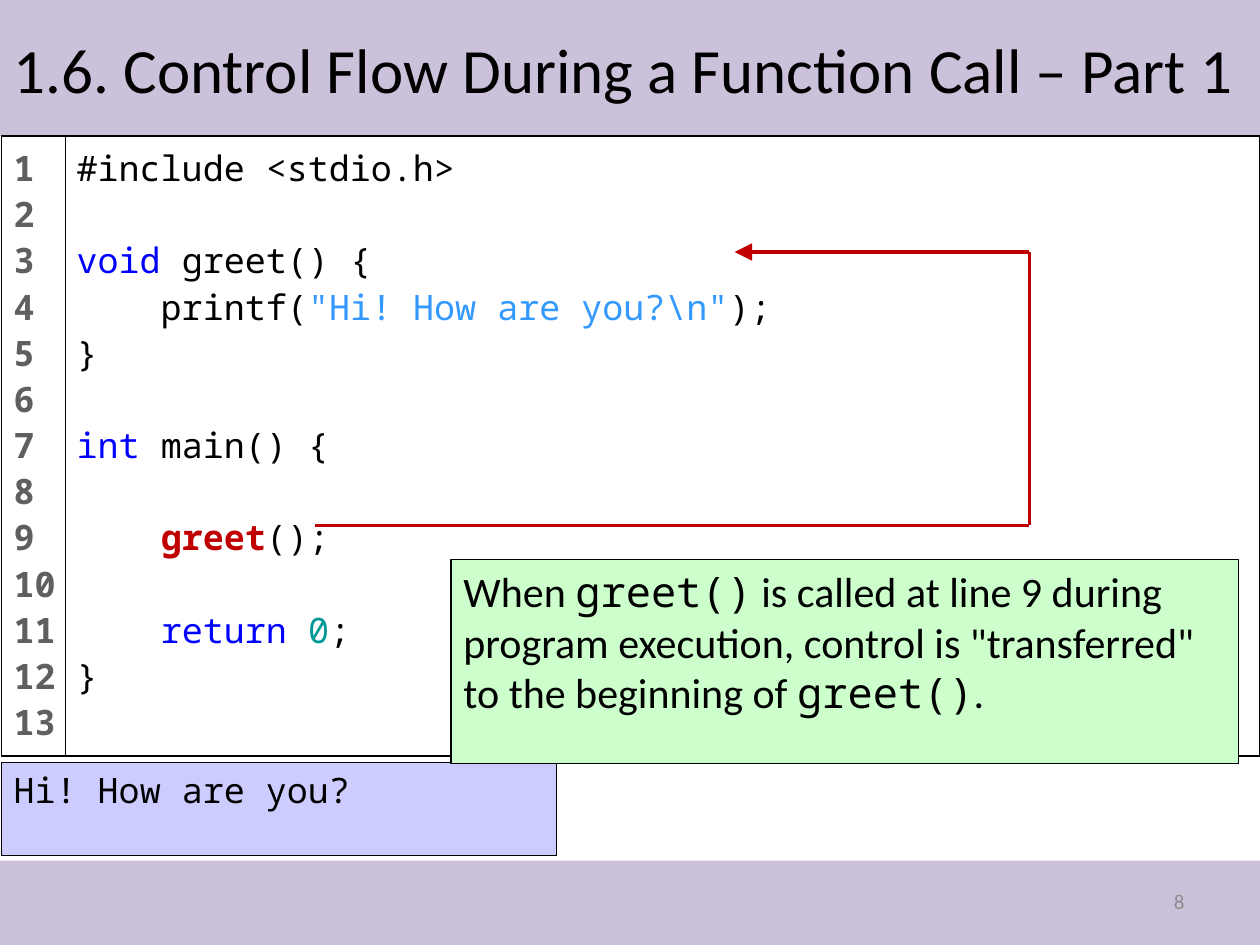
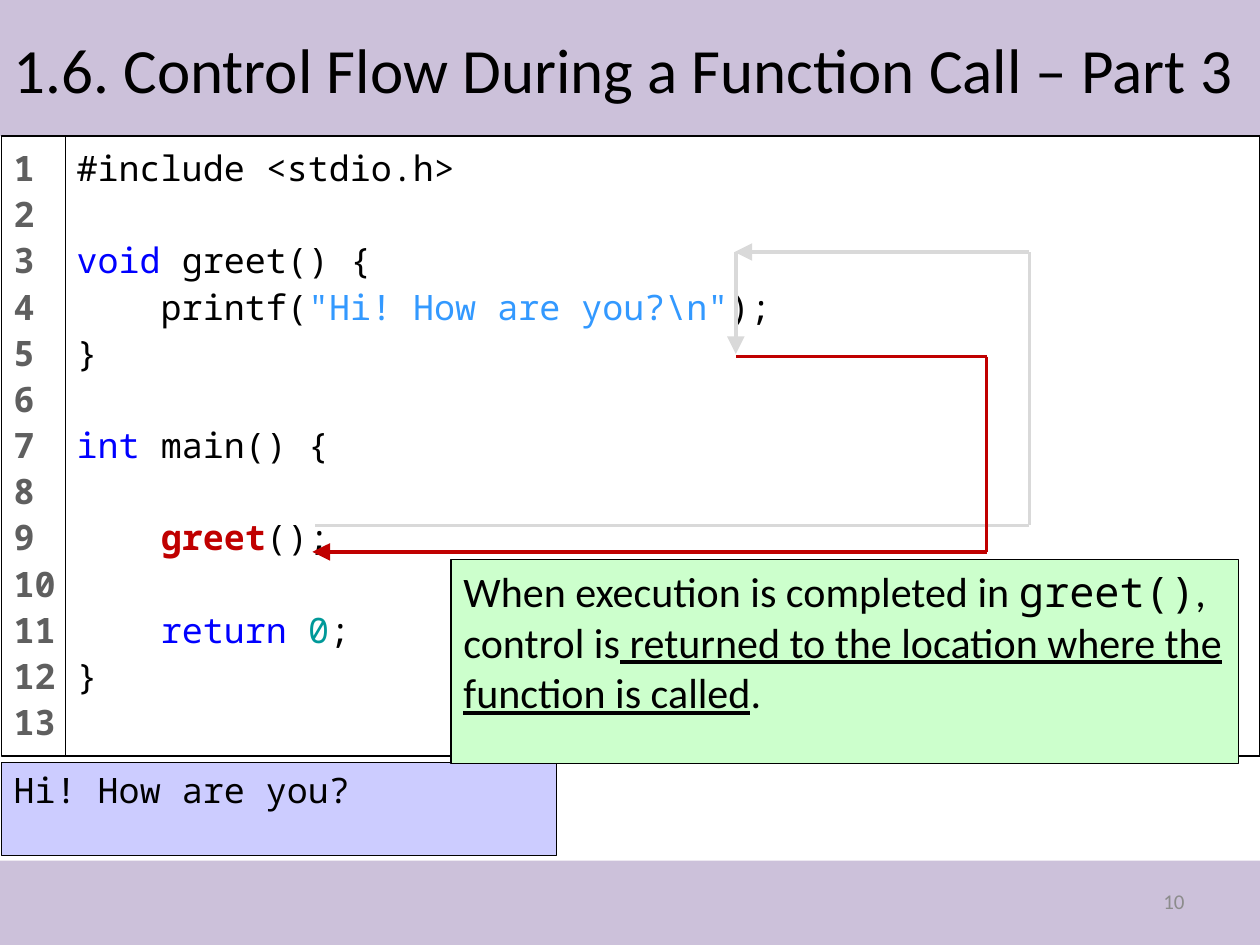
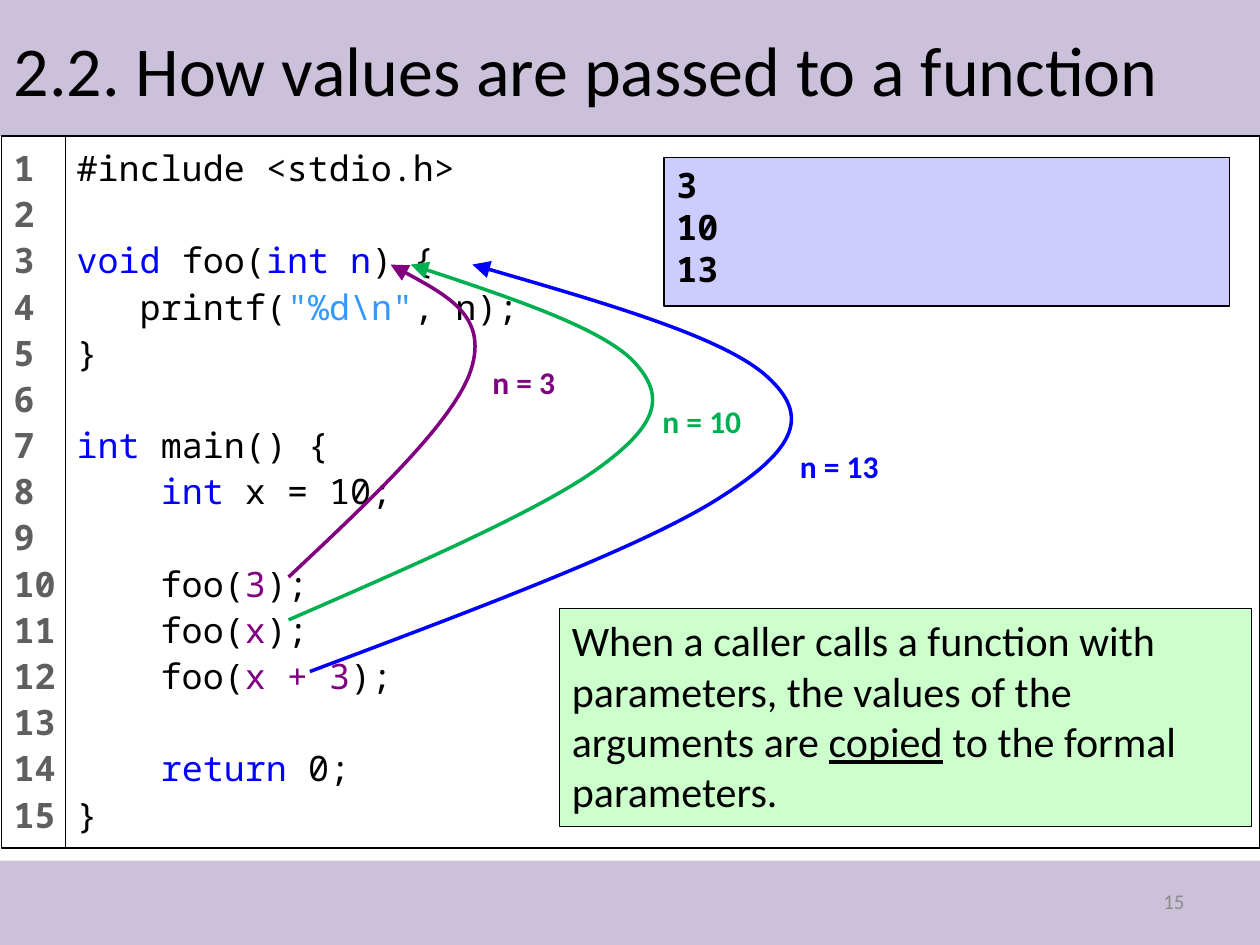
import collections

import lxml.etree
import pptx
import pptx.dml.color
import pptx.enum.shapes
import pptx.enum.text
import pptx.oxml.ns
import pptx.util

Inches = pptx.util.Inches
Pt = pptx.util.Pt
RGBColor = pptx.dml.color.RGBColor
Align = pptx.enum.text.PP_ALIGN
Anchor = pptx.enum.text.MSO_ANCHOR
qn = pptx.oxml.ns.qn

BLACK = RGBColor(0x00, 0x00, 0x00)
WHITE = RGBColor(0xFF, 0xFF, 0xFF)
LILAC = RGBColor(0xCC, 0xC1, 0xDA)
CONSOLE_BLUE = RGBColor(0xCC, 0xCC, 0xFF)
NOTE_GREEN = RGBColor(0xCC, 0xFF, 0xCC)
NUMBER_GRAY = RGBColor(0x8C, 0x8C, 0x8C)
GUTTER_GRAY = RGBColor(0x5F, 0x5F, 0x5F)
FADED = RGBColor(0xD9, 0xD9, 0xD9)
RED = RGBColor(0xC0, 0x00, 0x00)
BLUE = RGBColor(0x00, 0x00, 0xFF)
SKY = RGBColor(0x33, 0x99, 0xFF)
TEAL = RGBColor(0x00, 0x99, 0x99)
PURPLE = RGBColor(0x80, 0x00, 0x80)
GREEN = RGBColor(0x00, 0xB0, 0x50)

SANS = "Calibri"
MONO = "Noto Sans Mono"

CODE = {"name": MONO, "size": Pt(20), "color": BLACK}
KEYWORD = {"color": BLUE}
STRING = {"color": SKY}
NUMBER = {"color": TEAL}
ARGUMENT = {"color": PURPLE}
CALL = {"color": RED, "bold": True}
GUTTER = CODE | {"color": GUTTER_GRAY, "bold": True}
NOTE = {"name": SANS, "size": Pt(24), "color": BLACK}
INLINE_CODE = {"name": MONO}
UNDERLINE = {"underline": True}
LABEL = {"name": SANS, "size": Pt(18), "bold": True}
PAGE_NUMBER = {"name": SANS, "size": Pt(12), "color": NUMBER_GRAY}

Box = collections.namedtuple("Box", "left top width height")
TITLE_BOX = Box(0.01, 0, 9.99, 1.08)
NUMBER_BOX = Box(7.17, 6.95, 2.33, 0.4)
BANDS = [Box(0, 0, 10, 1.08), Box(0, 6.83, 10, 0.67)]
SHORT_CODE_BOX = Box(0.01, 1.08, 9.99, 4.92)
LONG_CODE_BOX = SHORT_CODE_BOX._replace(height=5.65)
CONSOLE_BOX = Box(0.01, 6.05, 4.41, 0.74)
NOTE_BOX = Box(3.58, 4.44, 6.25, 1.62)
CODE_OFFSET = 0.5
GUTTER_WIDTH = 0.51

GREET_CODE = [
    ["#include <stdio.h>"],
    [],
    [("void ", KEYWORD), "greet() {"],
    ["    printf(", ('"Hi! How are you?\\n"', STRING), ");"],
    ["}"],
    [],
    [("int", KEYWORD), " main() {"],
    [],
    ["    ", ("greet", CALL), "();"],
    [],
    ["    ", ("return ", KEYWORD), ("0", NUMBER), ";"],
    ["}"],
]
FOO_CODE = [
    ["#include <stdio.h>"],
    [],
    [("void", KEYWORD), " foo(", ("int n", KEYWORD), ") {"],
    ["   printf(", ('"%d\\n"', STRING), ", n);"],
    ["}"],
    [],
    [("int", KEYWORD), " main() {"],
    ["    ", ("int", KEYWORD), " x = 10;"],
    [],
    ["    foo(", ("3", ARGUMENT), ");"],
    ["    foo(", ("x", ARGUMENT), ");"],
    ["    foo(", ("x + 3", ARGUMENT), ");"],
    [],
    ["    ", ("return", KEYWORD), " 0;"],
    ["}"],
]

CALL_ROUTE = [(2.49, 3.09), (8.16, 3.09), (8.16, 0.92), (5.82, 0.92)]
BODY_ROUTE = [(5.83, 0.92), (5.83, 1.73)]
RETURN_ROUTE = [(5.83, 1.75), (7.82, 1.75), (7.82, 3.3), (2.47, 3.3)]

PASSED_VALUES = [
    ("n = 3", PURPLE, Box(3.8, 1.75, 0.71, 0.4),
     [(2.28, 3.5), (2.94, 2.88), (3.6, 2.26), (3.73, 1.85),
      (3.86, 1.43), (3.48, 1.23), (3.09, 1.02)]),
    ("n = 10", GREEN, Box(5.15, 2.06, 0.83, 0.4),
     [(2.28, 3.84), (3.29, 3.4), (4.3, 2.96), (4.76, 2.62),
      (5.22, 2.28), (5.27, 2.06), (5.02, 1.79),
      (4.77, 1.53), (4.01, 1.27), (3.25, 1.02)]),
    ("n = 13", BLUE, Box(6.24, 2.42, 0.83, 0.4),
     [(2.45, 4.25), (3.78, 3.75), (5.12, 3.25), (5.72, 2.86),
      (6.33, 2.47), (6.41, 2.21), (6.08, 1.91),
      (5.74, 1.6), (4.74, 1.31), (3.74, 1.02)]),
]


def inches(values):
    return [Inches(value) for value in values]


def style_font(font, style):
    for name, value in style.items():
        if name == "color":
            font.color.rgb = value
        else:
            setattr(font, name, value)


def write(frame, lines, style, spacing=None, align=Align.LEFT):
    for index, line in enumerate(lines):
        para = frame.add_paragraph() if index else frame.paragraphs[0]
        para.alignment = align
        para.line_spacing = spacing
        for part in line:
            text, extra = (part, {}) if isinstance(part, str) else part
            span = para.add_run()
            span.text = text
            style_font(span.font, style | extra)
        if not line:
            end = lxml.etree.SubElement(para._p, qn("a:endParaRPr"), sz=str(int(style["size"].pt * 100)))
            lxml.etree.SubElement(end, qn("a:latin"), typeface=style["name"])


def add_panel(page, box, fill, line=BLACK):
    panel = page.shapes.add_shape(pptx.enum.shapes.MSO_SHAPE.RECTANGLE, *inches(box))
    panel.shadow.inherit = False
    panel.fill.solid()
    panel.fill.fore_color.rgb = fill
    if line is None:
        panel.line.fill.background()
    else:
        panel.line.color.rgb = line
        panel.line.width = Pt(0.75)
    panel.text_frame.vertical_anchor = Anchor.TOP
    panel.text_frame.word_wrap = True
    return panel


def add_text(page, box, lines, style, **layout):
    frame = page.shapes.add_textbox(*inches(box)).text_frame
    write(frame, lines, style, **layout)
    return frame


def add_arrowhead(line):
    lxml.etree.SubElement(line._get_or_add_ln(), qn("a:tailEnd"), type="triangle", w="lg", len="lg")


def style_stroke(line, color):
    line.color.rgb = color
    line.width = Pt(2)


def add_bands(page, layout):
    for index, box in enumerate(BANDS):
        band = add_panel(page, box, LILAC, None).element
        band.nvSpPr.cNvPr.set("id", str(101 + index))
        layout.shapes.element.insert(2 + index, band)


def start_page(deck, title, number, size):
    page = deck.slides.add_slide(deck.slide_layouts[5])
    heading = page.shapes.title
    heading.left, heading.top, heading.width, heading.height = inches(TITLE_BOX)
    heading.text_frame.vertical_anchor = Anchor.MIDDLE
    heading.text_frame.auto_size = pptx.enum.text.MSO_AUTO_SIZE.NONE
    write(heading.text_frame, [[title]], NOTE | {"size": Pt(size)})
    frame = add_text(page, NUMBER_BOX, [[str(number)]], PAGE_NUMBER, align=Align.RIGHT)
    frame.word_wrap = True
    frame.vertical_anchor = Anchor.MIDDLE
    return page


def add_code(page, box, lines, line_count):
    code_box = box._replace(left=box.left + CODE_OFFSET, width=box.width - CODE_OFFSET)
    write(add_panel(page, code_box, WHITE).text_frame, lines, CODE, 1.1)
    gutter = add_panel(page, box._replace(width=GUTTER_WIDTH), WHITE).text_frame
    gutter.word_wrap = False
    write(gutter, [[str(number)] for number in range(1, line_count + 1)], GUTTER, 1.1)


def add_console(page, box, lines, bold=False):
    write(add_panel(page, box, CONSOLE_BLUE).text_frame, lines, CODE | {"bold": bold})


def add_note(page, box, parts):
    write(add_panel(page, box, NOTE_GREEN).text_frame, [parts], NOTE)


def place(box, points):
    return [inches((box.left + x, box.top + y)) for x, y in points]


def add_route(page, box, points, color):
    stops = place(box, points)
    for start, end in zip(stops, stops[1:]):
        leg = page.shapes.add_connector(pptx.enum.shapes.MSO_CONNECTOR.STRAIGHT, *start, *end)
        style_stroke(leg.line, color)
        if end is stops[-1]:
            add_arrowhead(leg.line)
        lxml.etree.SubElement(leg.element.spPr, qn("a:effectLst"))


def bend_segments(curve):
    segments = list(curve.element.iter(qn("a:lnTo")))
    for first in range(0, len(segments), 3):
        bend = lxml.etree.Element(qn("a:cubicBezTo"))
        segments[first].addprevious(bend)
        for segment in segments[first:first + 3]:
            bend.append(segment[0])
            segment.getparent().remove(segment)


def add_curve(page, box, points, color):
    start, *stops = place(box, points)
    builder = page.shapes.build_freeform(*start)
    builder.add_line_segments(stops, close=False)
    curve = builder.convert_to_shape()
    bend_segments(curve)
    curve.shadow.inherit = False
    curve.fill.background()
    style_stroke(curve.line, color)
    add_arrowhead(curve.line)


def add_passed_values(page, box):
    for text, color, label, points in PASSED_VALUES:
        add_curve(page, box, points, color)
        label_box = label._replace(left=box.left + label.left, top=box.top + label.top)
        frame = add_text(page, label_box, [[text]], LABEL | {"color": color})
        frame.word_wrap = False
        frame.auto_size = pptx.enum.text.MSO_AUTO_SIZE.SHAPE_TO_FIT_TEXT


def control_flow_page(deck, part, number, note, routes):
    page = start_page(deck, f"1.6. Control Flow During a Function Call – Part {part}", number, 36)
    add_code(page, SHORT_CODE_BOX, GREET_CODE, 13)
    add_console(page, CONSOLE_BOX, [["Hi! How are you?"]])
    add_note(page, NOTE_BOX, note)
    for points, color in routes:
        add_route(page, SHORT_CODE_BOX, points, color)
    return page


def passing_page(deck):
    page = start_page(deck, "2.2. How values are passed to a function", 15, 40)
    add_code(page, LONG_CODE_BOX, FOO_CODE, 15)
    add_console(page, Box(5.27, 1.25, 4.49, 1.18), [["3"], ["10"], ["13"]], bold=True)
    add_passed_values(page, LONG_CODE_BOX)
    add_note(page, Box(4.44, 4.83, 5.49, 1.73), [
        "When a caller calls a function with parameters, the values of the arguments are ",
        ("copied", UNDERLINE), " to the formal parameters."])


def main():
    deck = pptx.Presentation()
    deck.slide_width, deck.slide_height = inches((10, 7.5))
    first = control_flow_page(deck, 1, 8, [
        "When ", ("greet()", INLINE_CODE),
        ' is called at line 9 during program execution, control is "transferred"'
        " to the beginning of ", ("greet()", INLINE_CODE), "."],
        [(CALL_ROUTE, RED)])
    add_bands(first, deck.slide_layouts[5])
    control_flow_page(deck, 3, 10, [
        "When execution is completed in ", ("greet()", INLINE_CODE), ", control is",
        (" returned to the location where the function is called", UNDERLINE), "."],
        [(CALL_ROUTE, FADED), (BODY_ROUTE, FADED), (RETURN_ROUTE, RED)])
    passing_page(deck)
    deck.save("out.pptx")


if __name__ == "__main__":
    main()
